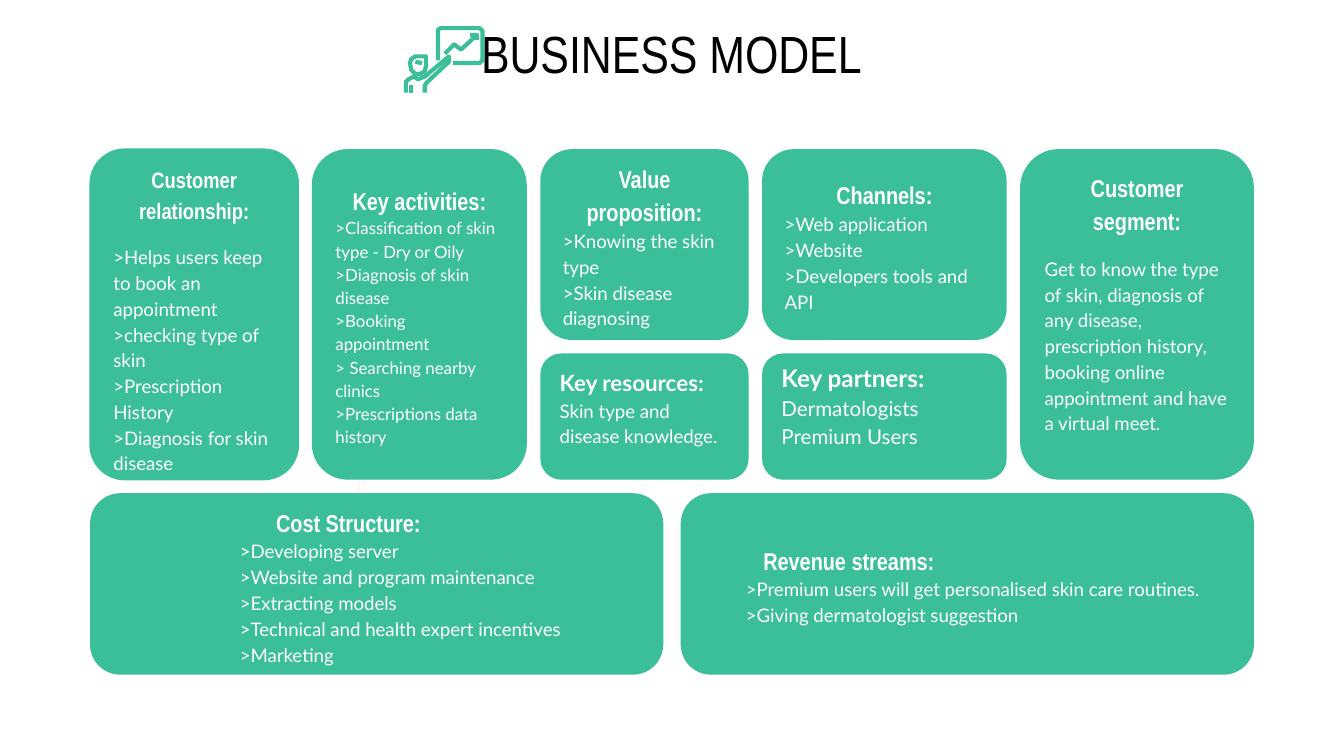
"""Build a business model canvas slide."""
from pptx import Presentation
from pptx.dml.color import RGBColor
from pptx.enum.shapes import MSO_SHAPE
from pptx.enum.text import MSO_ANCHOR, PP_ALIGN
from pptx.util import Inches, Pt

HUES = {"green": "3BBF9A", "white": "FFFFFF", "black": "000000", "pale": "FFF2F2"}
SLIM, LATO = "Arial Narrow", "Lato"
WIDE = 10
HIGH = WIDE * 9 / 16
LEFT, TOP, GAP, SPLIT = 0.67, 1.11, 0.1, 0.13
COLS = [1.55, 1.6, 1.55, 1.82, 1.74]
ROWS = [1.42, 0.94]
BASE = 1.35

CARDS = [
    dict(col=0, span=2, head="Customer relationship:", big=12, gap=10, top=0.08, low=0.02,
         edge=True,
         lines=[">Helps users keep to book an appointment", ">checking type of skin",
                ">Prescription History", ">Diagnosis for skin disease"]),
    dict(col=1, span=2, head="Key activities:", small=9,
         lines=[">Classification of skin type - Dry or Oily", ">Diagnosis of skin disease",
                ">Booking appointment", "> Searching nearby clinics",
                ">Prescriptions data history"]),
    dict(col=2, head="Value proposition:",
         lines=[">Knowing the skin type", ">Skin disease diagnosing"]),
    dict(col=2, row=1, head="Key resources:", big=12, font=LATO, align="left", low=0.25,
         lines=["Skin type and disease knowledge."]),
    dict(col=3, head="Channels:",
         lines=[">Web application", ">Website", ">Developers tools and API"]),
    dict(col=3, row=1, head="Key partners:", font=LATO, align="left", small=11, low=0.29,
         lines=["Dermatologists", "Premium Users"]),
    dict(col=4, span=2, head="Customer segment:", gap=10, low=0.29,
         lines=["Get to know the type of skin, diagnosis of any disease, prescription history, "
                "booking online appointment and have a virtual meet."]),
    dict(half=0, head="Cost Structure:", align="left", top=0.04, low=0.03, pad=(1.22, 0.95),
         lines=[">Developing server", ">Website and program maintenance", ">Extracting models",
                ">Technical and health expert incentives", ">Marketing"]),
    dict(half=1, head="Revenue streams:", align="left", pad=(0.45, 0.32),
         lines=[">Premium users will get personalised skin care routines.",
                ">Giving dermatologist suggestion"]),
]

ICON = [
    [(326, 45), (326, 22), (328, 21), (357, 21), (359, 23), (359, 45), (357, 47), (337, 47)],
    [(331, 40), (338, 33), (343, 37), (355, 26)],
    [(350, 26), (355, 26), (355, 30)],
    [(302, 69), (302, 61), (304, 59), (308, 57), (311, 59), (316, 57), (334, 42), (334, 46),
     (317, 62), (316, 64), (316, 69)],
    [(306, 63), (306, 69)],
    [(317, 42), (309, 42), (306, 44), (305, 47), (306, 52), (309, 55), (313, 55), (316, 53),
     (317, 49), (317, 42)],
    [(309, 46), (314, 47)],
]
CROSS = [[(267, 366), (267, 360), (268, 359), (270, 359), (271, 360), (271, 366)]]


def tint(name):
    return RGBColor.from_string(HUES[name])


def write(frame, text, size=10, font=LATO, hue="white", bold=False, align="left",
          space=1.15, before=0, pad=0):
    para = frame.paragraphs[0]
    if para.runs:
        para = frame.add_paragraph()
    para.alignment = PP_ALIGN.CENTER if align == "center" else PP_ALIGN.LEFT
    para.line_spacing, para.space_before = space, Pt(before)
    if pad:
        para._p.get_or_add_pPr().set("marL", str(Inches(pad)))
    run = para.add_run()
    run.text = text
    face = run.font
    face.size, face.name, face.bold = Pt(size), font, bold
    face.color.rgb = tint(hue)


def inset(frame, top=0.1, low=0.1):
    frame.word_wrap = True
    frame.margin_left = frame.margin_right = Inches(0.1)
    frame.margin_top, frame.margin_bottom = Inches(top), Inches(low)


def place(card):
    if "half" in card:
        full = sum(COLS) + GAP * (len(COLS) - 1)
        wide = (full - SPLIT) / 2
        return (LEFT + card["half"] * (wide + SPLIT),
                TOP + sum(ROWS) + GAP * len(ROWS), wide, BASE)
    col, row, span = card["col"], card.get("row", 0), card.get("span", 1)
    return (LEFT + sum(COLS[:col]) + GAP * col, TOP + sum(ROWS[:row]) + GAP * row,
            COLS[col], sum(ROWS[row:row + span]) + GAP * (span - 1))


def draw(slide, card):
    box = slide.shapes.add_shape(MSO_SHAPE.ROUNDED_RECTANGLE, *map(Inches, place(card)))
    box.shadow.inherit = False
    box.fill.solid()
    box.fill.fore_color.rgb = tint("green")
    if card.get("edge"):
        box.line.color.rgb = tint("green")
        box.line.width = Pt(0.75)
    else:
        box.line.fill.background()
    frame = box.text_frame
    inset(frame, card.get("top", 0.1), card.get("low", 0.1))
    frame.vertical_anchor = MSO_ANCHOR.MIDDLE
    first, rest = card.get("pad", (0, 0))
    write(frame, card["head"], size=card.get("big", 13), font=card.get("font", SLIM),
          bold=True, align=card.get("align", "center"), pad=first)
    for num, line in enumerate(card["lines"]):
        write(frame, line, size=card.get("small", 10), pad=rest,
              before=0 if num else card.get("gap", 0))


def trace(slide, paths, hue, width):
    for path in paths:
        pen = slide.shapes.build_freeform(*path[0], scale=Inches(0.01))
        pen.add_line_segments(path[1:], close=False)
        mark = pen.convert_to_shape()
        mark.shadow.inherit = False
        mark.fill.background()
        mark.line.color.rgb = tint(hue)
        mark.line.width = Pt(width)


def main():
    deck = Presentation()
    deck.slide_width, deck.slide_height = Inches(WIDE), Inches(HIGH)
    slide = deck.slides.add_slide(deck.slide_layouts[6])
    title = slide.shapes.add_textbox(*map(Inches, (0.61, 0.15, 8.77, 0.44))).text_frame
    inset(title)
    write(title, "BUSINESS MODEL", size=28, font=SLIM, hue="black", align="center", space=0.8)
    trace(slide, CROSS, "pale", 1)
    for card in CARDS:
        draw(slide, card)
    trace(slide, ICON, "green", 2.25)
    deck.save("out.pptx")


if __name__ == "__main__":
    main()
